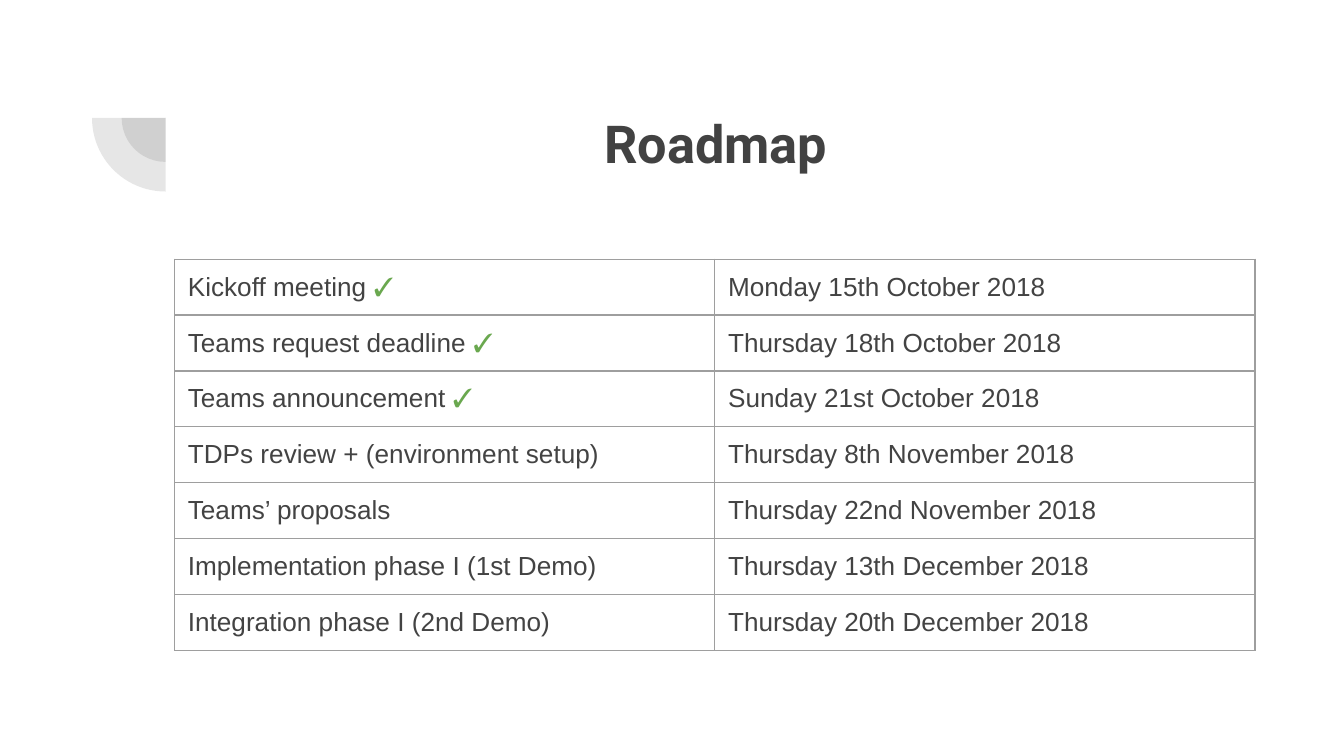
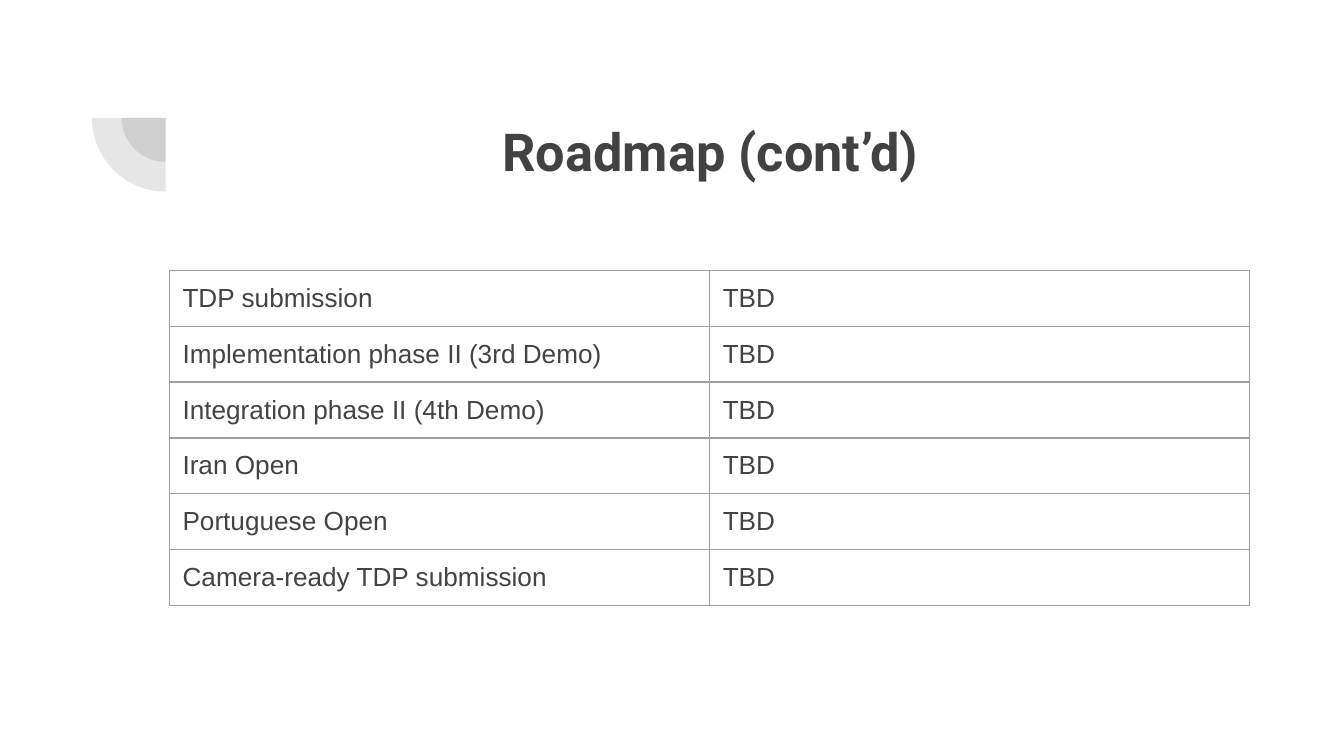
from lxml.etree import SubElement
from pptx import Presentation
from pptx.dml.color import RGBColor
from pptx.enum.shapes import MSO_SHAPE
from pptx.enum.text import MSO_ANCHOR, MSO_AUTO_SIZE, PP_ALIGN
from pptx.oxml.ns import qn
from pptx.util import Cm, Pt

COLORS = {"title": "424242", "text": "434343", "check": "6AA84F", "border": "9E9E9E"}
CHECK = "✓"
INSET = Cm(0.25)
MARGINS = ("margin_left", "margin_right", "margin_top", "margin_bottom")

SLIDES = [
    {
        "title": "Roadmap", "title_at": (3.76, 1.85), "table_at": (3.3, 4.9),
        "rows": [
            ("Kickoff meeting ✓", "Monday 15th October 2018"),
            ("Teams request deadline ✓", "Thursday 18th October 2018"),
            ("Teams announcement ✓", "Sunday 21st October 2018"),
            ("TDPs review + (environment setup)", "Thursday 8th November 2018"),
            ("Teams’ proposals", "Thursday 22nd November 2018"),
            ("Implementation phase I (1st Demo)", "Thursday 13th December 2018"),
            ("Integration phase I (2nd Demo)", "Thursday 20th December 2018"),
        ],
    },
    {
        "title": "Roadmap (cont’d)", "title_at": (3.66, 2.01), "table_at": (3.2, 5.11),
        "rows": [(step, "TBD") for step in (
            "TDP submission",
            "Implementation phase II (3rd Demo)",
            "Integration phase II (4th Demo)",
            "Iran Open",
            "Portuguese Open",
            "Camera-ready TDP submission",
        )],
    },
]


def add_run(p, text, size=14, font="Arial", color="text", bold=False):
    r = p.add_run()
    r.text = text
    r.font.size = Pt(size)
    r.font.name = font
    r.font.bold = bold
    r.font.color.rgb = RGBColor.from_string(COLORS[color])


def add_borders(cell, color, width):
    tc_pr = cell._tc.get_or_add_tcPr()
    for side in ("lnL", "lnR", "lnT", "lnB"):
        ln = SubElement(tc_pr, qn(f"a:{side}"), w=str(Pt(width)))
        fill = SubElement(ln, qn("a:solidFill"))
        SubElement(fill, qn("a:srgbClr"), val=COLORS[color])


prs = Presentation()
prs.slide_width, prs.slide_height = Cm(25.4), Cm(14.29)

for content in SLIDES:
    s = prs.slides.add_slide(prs.slide_layouts[5])

    for radius in (0.83, 1.39):
        sp = s.shapes.add_shape(MSO_SHAPE.PIE, Cm(3.13 - radius), Cm(2.23 - radius),
                                Cm(2 * radius), Cm(2 * radius))
        sp.adjustments[0], sp.adjustments[1] = 108, 162
        sp.rotation = 270
        sp.shadow.inherit = False
        sp.line.fill.background()
        sp.fill.solid()
        sp.fill.fore_color.rgb = RGBColor.from_string(COLORS["title"])
        clr = sp._element.spPr.find(qn("a:solidFill")).find(qn("a:srgbClr"))
        SubElement(clr, qn("a:alpha"), val="13000")

    title = s.shapes.title
    title.left, title.top = (Cm(v) for v in content["title_at"])
    title.width, title.height = Cm(19.53), Cm(2.77)
    tf = title.text_frame
    tf.word_wrap = True
    tf.auto_size = MSO_AUTO_SIZE.NONE
    tf.vertical_anchor = MSO_ANCHOR.TOP
    for margin in MARGINS:
        setattr(tf, margin, INSET)
    p = tf.paragraphs[0]
    p.alignment = PP_ALIGN.CENTER
    add_run(p, content["title"], size=28, font="Roboto", color="title", bold=True)

    rows = content["rows"]
    left, top = content["table_at"]
    table = s.shapes.add_table(len(rows), 2, Cm(left), Cm(top),
                               Cm(20.42), Cm(1.02 * len(rows))).table
    table.first_row = False
    table.horz_banding = False
    for column in table.columns:
        column.width = Cm(10.21)
    for i, row in enumerate(rows):
        table.rows[i].height = Cm(1.02)
        for j, text in enumerate(row):
            cell = table.cell(i, j)
            for margin in MARGINS:
                setattr(cell, margin, INSET)
            add_borders(cell, "border", 0.75)
            cell.fill.background()
            p = cell.text_frame.paragraphs[0]
            label, check, _ = text.partition(CHECK)
            add_run(p, label)
            if check:
                add_run(p, check, font="Times New Roman", color="check", bold=True)

prs.save("out.pptx")
